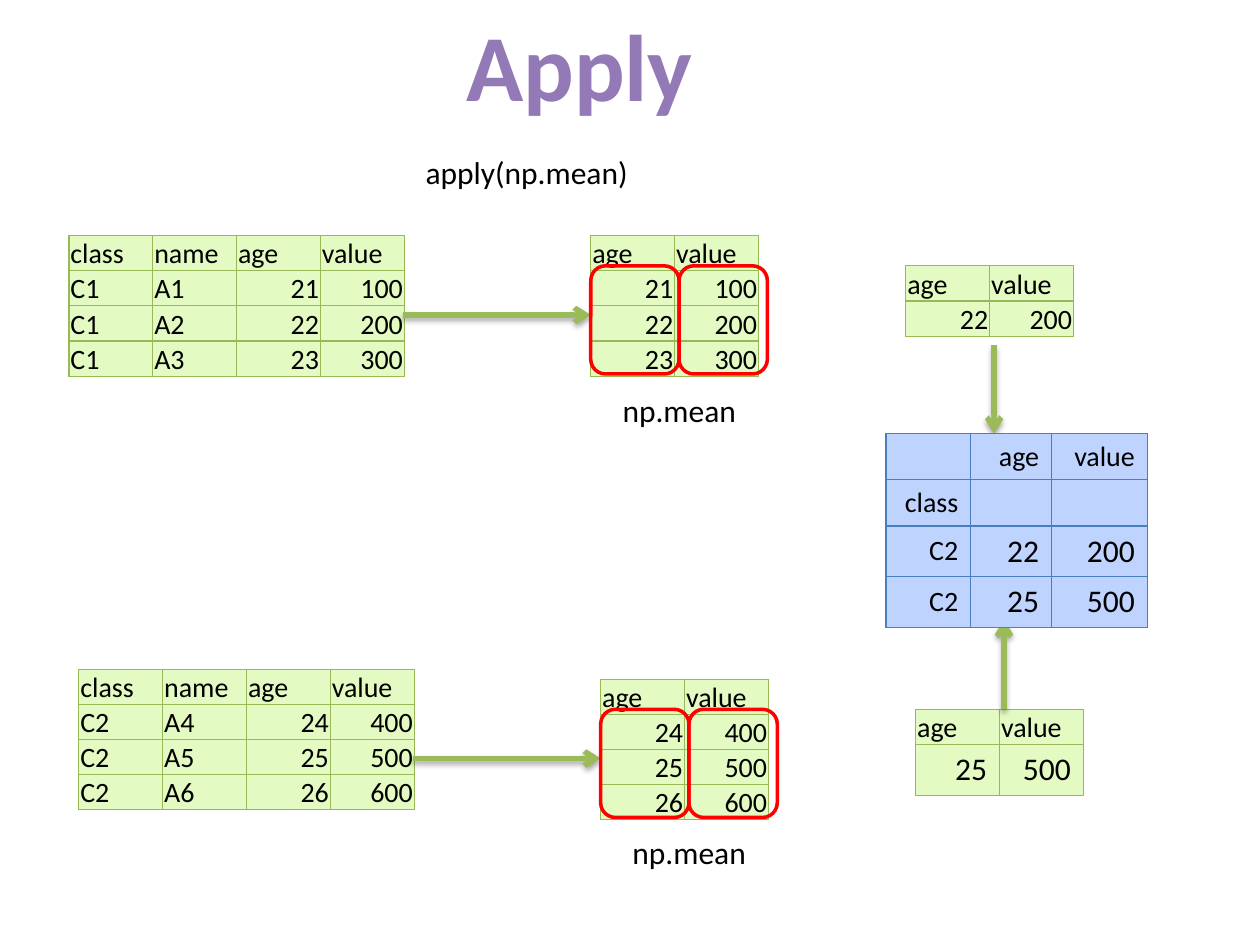
from lxml.etree import SubElement
from pptx import Presentation
from pptx.dml.color import RGBColor
from pptx.enum.shapes import MSO_CONNECTOR, MSO_SHAPE
from pptx.enum.text import MSO_ANCHOR, PP_ALIGN
from pptx.oxml import parse_xml
from pptx.oxml.ns import nsdecls, qn
from pptx.util import Cm, Pt

PURPLE = RGBColor(0x93, 0x79, 0xB5)
BLACK = RGBColor(0, 0, 0)
RED = RGBColor(0xFF, 0, 0)
GREEN = RGBColor(0x9B, 0xBB, 0x59)
GREEN_FILL = RGBColor(0xE3, 0xFB, 0xC2)
GREEN_EDGE = RGBColor(0x98, 0xB9, 0x55)
BLUE_FILL = RGBColor(0xBF, 0xD3, 0xFF)
BLUE_EDGE = RGBColor(0x4B, 0x7E, 0xBC)
FONT = "Calibri"
COL, ROW, TALL_ROW = 1.69, 0.7, 1.02

prs = Presentation()
prs.slide_width, prs.slide_height = Cm(25.4), Cm(19.05)
s = prs.slides.add_slide(prs.slide_layouts[5])


def add_table(x, y, widths, heights, rows, fill=GREEN_FILL, edge=GREEN_EDGE):
    """Rows taller than the standard height are padded and right-aligned."""
    table = s.shapes.add_table(len(rows), len(widths), Cm(x), Cm(y),
                               Cm(sum(widths)), Cm(sum(heights))).table
    table.first_row = table.horz_banding = False
    for column, width in zip(table.columns, widths):
        column.width = Cm(width)
    for i, (height, row) in enumerate(zip(heights, rows)):
        table.rows[i].height = Cm(height)
        padded = height > ROW
        for j, text in enumerate(row):
            cell = table.cell(i, j)
            cell.vertical_anchor = MSO_ANCHOR.MIDDLE
            if not padded:
                cell.margin_left = cell.margin_right = cell.margin_top = Cm(0.03)
                cell.margin_bottom = 0
            # Borders come before the fill in the cell properties
            for side in ("lnL", "lnR", "lnT", "lnB"):
                ln = SubElement(cell._tc.get_or_add_tcPr(), qn(f"a:{side}"), w=str(Pt(0.75)))
                SubElement(SubElement(ln, qn("a:solidFill")), qn("a:srgbClr"), val=str(edge))
            cell.fill.solid()
            cell.fill.fore_color.rgb = fill
            p = cell.text_frame.paragraphs[0]
            p.text = text
            number = text.isdigit()
            p.alignment = PP_ALIGN.RIGHT if padded or number else PP_ALIGN.LEFT
            p.font.name, p.font.color.rgb = FONT, BLACK
            p.font.size = Pt(18 if padded and number else 16)


def add_arrow(x1, y1, x2, y2):
    arrow = s.shapes.add_connector(MSO_CONNECTOR.STRAIGHT, Cm(x1), Cm(y1), Cm(x2), Cm(y2))
    arrow.line.color.rgb = GREEN
    arrow.line.width = Pt(3)
    SubElement(arrow.line._get_or_add_ln(), qn("a:tailEnd"), type="arrow")
    arrow._element.spPr.append(parse_xml(
        f'<a:effectLst {nsdecls("a")}><a:outerShdw blurRad="40000" dist="23000" dir="5400000" '
        'rotWithShape="0"><a:srgbClr val="000000"><a:alpha val="35000"/></a:srgbClr>'
        '</a:outerShdw></a:effectLst>'))


# Title
title = s.shapes.title
title.left, title.top, title.width, title.height = Cm(9.12), Cm(0), Cm(5.13), Cm(2.57)
tf = title.text_frame
tf.word_wrap = False
p = tf.paragraphs[0]
p.text = "Apply"
p.alignment = PP_ALIGN.CENTER
p.font.name, p.font.size, p.font.bold = FONT, Pt(54), True
p.font.color.rgb = PURPLE

# Captions
captions = [("apply(np.mean)", 8.33, 2.97, 4.65),
            ("np.mean", 12.3, 7.75, 2.82),
            ("np.mean", 12.5, 16.67, 2.82)]
for text, x, y, width in captions:
    tf = s.shapes.add_textbox(Cm(x), Cm(y), Cm(width), Cm(1.02)).text_frame
    tf.word_wrap = False
    p = tf.paragraphs[0]
    p.text = text
    p.font.name, p.font.size, p.font.color.rgb = FONT, Pt(18), BLACK

# One group per class: source rows, selected columns, means
groups = [
    (0, 0, (1.39, 4.75), ROW, ["22", "200"],
     [["C1", "A1", "21", "100"], ["C1", "A2", "22", "200"], ["C1", "A3", "23", "300"]]),
    (0.2, 8.94, (1.59, 13.49), TALL_ROW, ["25", "500"],
     [["C2", "A4", "24", "400"], ["C2", "A5", "25", "500"], ["C2", "A6", "26", "600"]]),
]
header = ["class", "name", "age", "value"]
for dx, dy, source_at, mean_height, means, records in groups:
    rows = [header] + records
    add_table(*source_at, [COL] * 4, [ROW] * 4, rows)
    add_arrow(8.12 + dx, 6.35 + dy, 11.91 + dx, 6.35 + dy)
    add_table(11.91 + dx, 4.75 + dy, [COL] * 2, [ROW] * 4, [row[2:] for row in rows])
    for column in range(2):
        frame = s.shapes.add_shape(MSO_SHAPE.ROUNDED_RECTANGLE, Cm(11.91 + dx + 1.78 * column),
                                   Cm(5.36 + dy), Cm(1.78), Cm(2.18))
        frame.shadow.inherit = False
        frame.fill.background()
        frame.line.color.rgb = RED
        frame.line.width = Pt(2)
    add_table(18.26 + dx, 5.36 + dy, [COL] * 2, [ROW, mean_height], [header[2:], means])

# Means flow into the combined result
add_arrow(20.04, 6.96, 20.04, 8.74)
add_arrow(20.24, 14.3, 20.24, 12.5)
add_table(17.86, 8.74, [1.71, 1.63, 1.93], [0.93, 0.93, TALL_ROW, TALL_ROW],
          [["", "age", "value"], ["class", "", ""], ["C2", "22", "200"], ["C2", "25", "500"]],
          BLUE_FILL, BLUE_EDGE)

prs.save("out.pptx")
